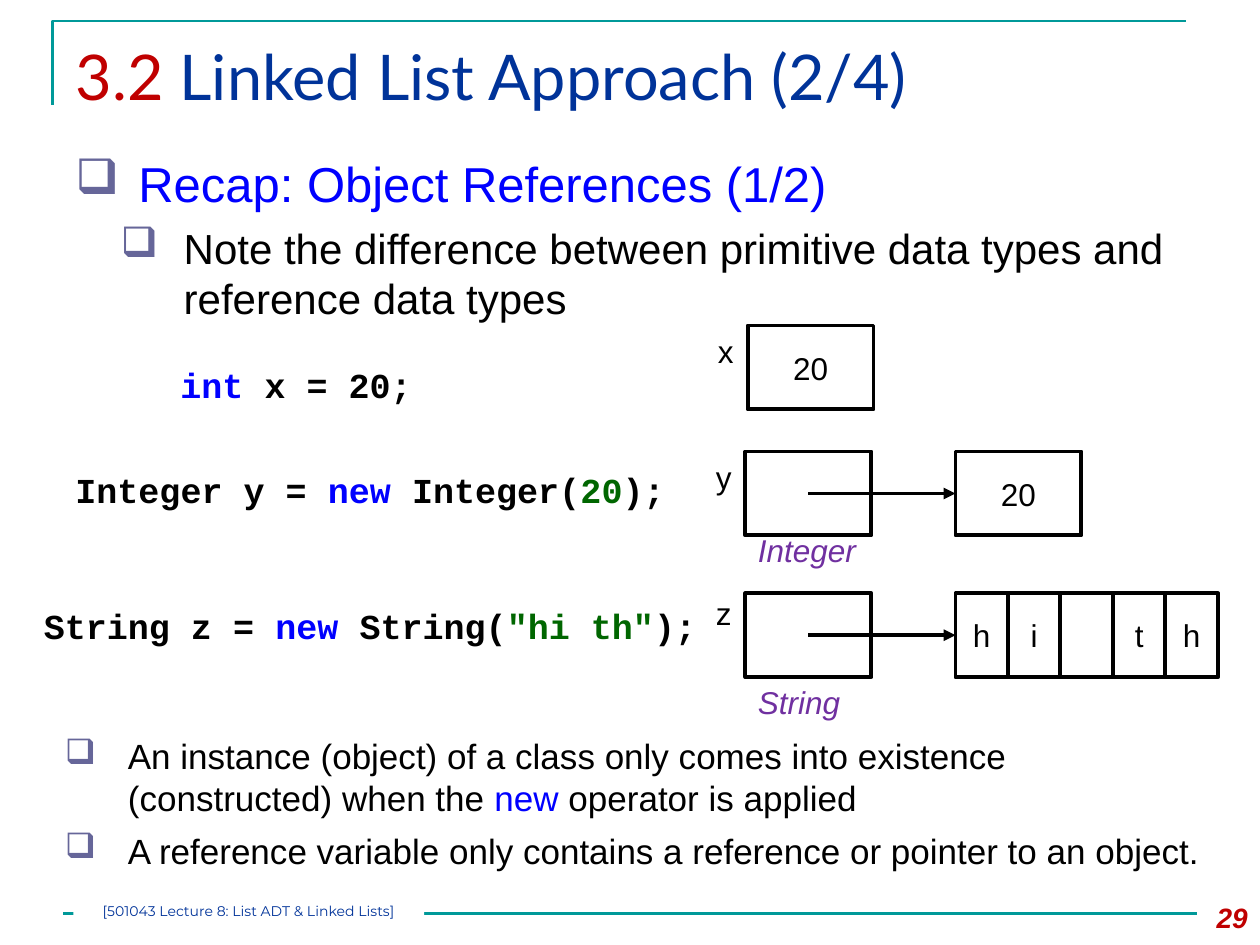
from lxml.etree import SubElement
from pptx import Presentation
from pptx.dml.color import RGBColor as RGB
from pptx.enum.shapes import MSO_CONNECTOR as CONN, MSO_SHAPE as SHAPE
from pptx.enum.text import MSO_ANCHOR as ANCHOR, MSO_AUTO_SIZE as AUTO, PP_ALIGN as ALIGN
from pptx.oxml.ns import qn
from pptx.util import Inches, Pt

COLORS = {"black": "000000", "white": "FFFFFF", "teal": "009999", "navy": "003399",
          "red": "C00000", "blue": "0000FF", "green": "006600", "purple": "7030A0",
          "bullet": "666699"}


class Deck:
    """Style and current slide, on a grid of 120 columns by 90 rows."""

    def __init__(self):
        self.prs = Presentation()
        self.prs.slide_width, self.prs.slide_height = Inches(10), Inches(7.5)
        self.s = self.prs.slides.add_slide(self.prs.slide_layouts[5])

    def grid(self, *cells):
        return [round(c * self.prs.slide_width / 120) for c in cells]

    def color(self, name):
        return RGB.from_string(COLORS[name])

    def add_runs(self, p, runs, size, font="Arial", bold=False, italic=False):
        for text, color in runs:
            r = p.add_run()
            r.text = text
            r.font.size, r.font.name = Pt(size), font
            r.font.bold, r.font.italic = bold, italic
            r.font.color.rgb = self.color(color)

    def title(self, at, runs):
        sp = self.s.shapes.title
        sp.left, sp.top, sp.width, sp.height = self.grid(*at)
        tf = sp.text_frame
        tf.vertical_anchor, tf.auto_size = ANCHOR.TOP, AUTO.NONE
        tf.paragraphs[0].alignment = ALIGN.LEFT
        self.add_runs(tf.paragraphs[0], runs, 36, "Lato")

    def text(self, at, runs, size=18, wrap=True, align=ALIGN.LEFT, **style):
        tf = self.s.shapes.add_textbox(*self.grid(*at)).text_frame
        tf.word_wrap = wrap
        tf.paragraphs[0].alignment = align
        self.add_runs(tf.paragraphs[0], runs, size, **style)

    def label(self, at, text, color="black", italic=False):
        self.text(at, [(text, color)], wrap=False, italic=italic)

    def code(self, at, *runs):
        self.text(at, runs, 20, font="Courier New", bold=True)

    def bullets(self, at, items):
        tf = self.s.shapes.add_textbox(*self.grid(*at)).text_frame
        tf.word_wrap = True
        for i, (level, size, runs) in enumerate(items):
            p = tf.add_paragraph() if i else tf.paragraphs[0]
            p.level = level
            p.space_before = Pt(6 if i else 0)
            pPr = p._p.get_or_add_pPr()
            pPr.set("marL", str(Inches(0.5 + 0.36 * level)))
            pPr.set("indent", str(-Inches(0.5)))
            clr = SubElement(pPr, qn("a:buClr"))
            SubElement(clr, qn("a:srgbClr"), val=COLORS["bullet"])
            SubElement(pPr, qn("a:buChar"), char="❑")
            self.add_runs(p, runs, size)

    def rect(self, at, line=None):
        sp = self.s.shapes.add_shape(SHAPE.RECTANGLE, *self.grid(*at))
        sp.shadow.inherit = False
        sp.fill.solid()
        sp.fill.fore_color.rgb = self.color("white")
        if line:
            sp.line.color.rgb, sp.line.width = self.color(line), Pt(2.25)
        else:
            sp.line.fill.background()
        return sp

    def cell(self, at, text=""):
        tf = self.rect(at, "black").text_frame
        if text:
            tf.word_wrap, tf.vertical_anchor = False, ANCHOR.MIDDLE
            tf.paragraphs[0].alignment = ALIGN.CENTER
            self.add_runs(tf.paragraphs[0], [(text, "black")], 18)

    def footer(self, at, text):
        tf = self.rect(at).text_frame
        tf.margin_left = tf.margin_top = tf.margin_right = tf.margin_bottom = 0
        tf.word_wrap, tf.vertical_anchor = True, ANCHOR.TOP
        tf.paragraphs[0].alignment = ALIGN.CENTER
        self.add_runs(tf.paragraphs[0], [(text, "navy")], 8, "Montserrat")

    def line(self, ends, color, width, arrow=False):
        c = self.s.shapes.add_connector(CONN.STRAIGHT, *self.grid(*ends))
        c.line.color.rgb, c.line.width = self.color(color), Pt(width)
        spPr = c._element.spPr
        if arrow:
            SubElement(spPr.find(qn("a:ln")), qn("a:tailEnd"), type="triangle")
        SubElement(spPr, qn("a:effectLst"))

    def corner(self, points):
        start, *rest = [self.grid(*pt) for pt in points]
        fb = self.s.shapes.build_freeform(*start)
        fb.add_line_segments(rest, close=False)
        sp = fb.convert_to_shape()
        sp.shadow.inherit = False
        sp.fill.background()
        sp.line.color.rgb, sp.line.width = self.color("teal"), Pt(1.5)

    def reference(self, top, values, width):
        self.cell((71, top, 12, 8))
        for i, value in enumerate(values):
            self.cell((91 + i * width, top, width, 8), value)
        self.line((77, top + 4, 91, top + 4), "black", 2.25, arrow=True)


def main():
    d = Deck()
    d.corner([(5, 10), (5, 2), (113, 2)])
    d.line((6, 87, 114, 87), "teal", 1.5)
    d.title((6, 3, 108, 10.3), [("3.2 ", "red"), ("Linked List Approach (2/4)", "navy")])
    d.bullets((6, 14, 112, 19), [
        (0, 28, [("Recap: Object References (1/2)", "blue")]),
        (1, 24, [("Note the difference between primitive data types and "
                  "reference data types", "black")])])
    d.text((112, 85.2, 8, 4.8), [("29", "red")], 16, align=ALIGN.RIGHT, bold=True, italic=True)

    d.cell((71.2, 31, 12, 8), "20")
    d.label((67.2, 31, 3.8, 4.8), "x")
    d.code((16, 34, 32, 5.3), ("int", "blue"), (" x = 20;", "black"))

    d.reference(43, ["20"], 12)
    d.label((67, 43, 3.8, 4.8), "y")
    d.label((71, 50, 12.1, 4.8), "Integer", "purple", italic=True)
    d.code((6, 44, 63, 5.3), ("Integer y = ", "black"), ("new", "blue"),
           (" Integer(", "black"), ("20", "green"), (");", "black"))

    d.reference(56.5, ["h", "i", "", "t", "h"], 5)
    d.label((67, 56, 3.7, 4.8), "z")
    d.label((71, 64.5, 10.3, 4.8), "String", "purple", italic=True)
    d.code((3, 57, 65, 5.3), ("String z = ", "black"), ("new", "blue"),
           (" String(", "black"), ('"hi th"', "green"), (");", "black"))

    d.bullets((5, 69.4, 112, 15.6), [
        (0, 20, [("An instance (object) of a class only comes into existence "
                  "(constructed) when the", "black"), (" new ", "blue"),
                 ("operator is applied", "black")]),
        (0, 20, [("A reference variable only contains a reference or pointer "
                  "to an object.", "black")])])
    d.footer((7, 86, 33.4, 2.4), "[501043 Lecture 8: List ADT & Linked Lists]")
    d.prs.save("out.pptx")


if __name__ == "__main__":
    main()
